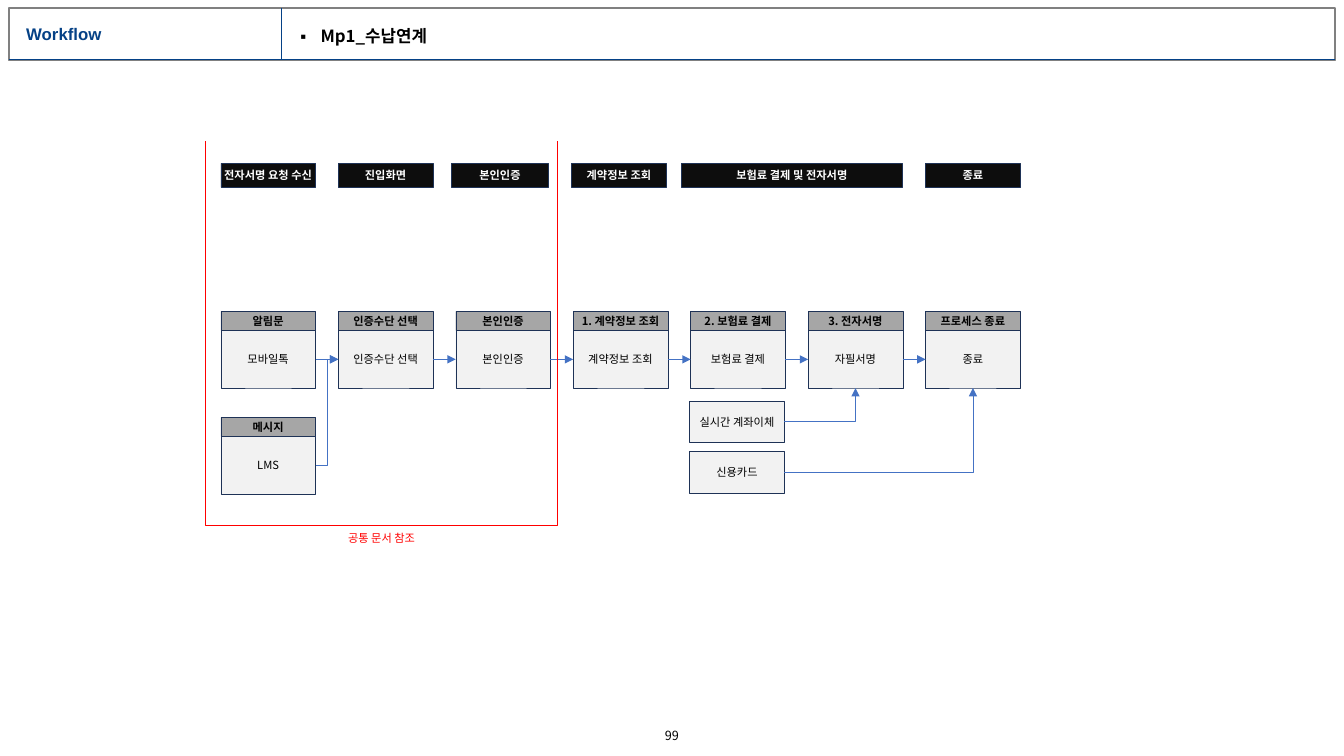
from lxml.etree import SubElement
from pptx import Presentation
from pptx.dml.color import RGBColor
from pptx.enum.shapes import MSO_CONNECTOR, MSO_SHAPE
from pptx.enum.text import MSO_ANCHOR, MSO_AUTO_SIZE, PP_ALIGN
from pptx.oxml.ns import qn
from pptx.util import Inches, Pt

HEX = {"navy": "054186", "gray": "808080", "black": "000000", "white": "FFFFFF",
       "dark": "0D0D0D", "head": "A6A6A6", "pale": "F2F2F2", "edge": "1E3256",
       "flow": "4472C4", "red": "FF0000"}
SANS = "Noto Sans CJK KR"
LEFT, PITCH, WIDE = 2.19, 1.165, 0.94
TOP, STEP, HEAD, BODY = 3.09, 1.05, 0.19, 0.57
STAGE, TALL = 1.62, 0.24
SMALL = {"size": Pt(8), "name": SANS, "bold": False}
BOLD = {**SMALL, "bold": True}
FRAME = {"word_wrap": False, "vertical_anchor": MSO_ANCHOR.MIDDLE}
FLUSH = {"margin_left": 0, "margin_right": 0, "margin_top": 0, "margin_bottom": 0}
SITE = {"top": 0, "left": 1, "bottom": 2, "right": 3}

STEPS = [("알림문", "모바일톡"), ("인증수단 선택", "인증수단 선택"),
         ("본인인증", "본인인증"), ("1. 계약정보 조회", "계약정보 조회"),
         ("2. 보험료 결제", "보험료 결제"), ("3. 전자서명", "자필서명"),
         ("프로세스 종료", "종료")]


def col(i):
    return LEFT + i * PITCH


STAGES = [("전자서명 요청 수신", col(0), WIDE), ("진입화면", col(1), WIDE),
          ("본인인증", 4.48, 0.96), ("계약정보 조회", 5.67, WIDE),
          ("보험료 결제 및 전자서명", 6.76, 2.19), ("종료", col(6), WIDE)]


def apply(item, values):
    for key, value in values.items():
        setattr(item, key, value)


def rgb(name):
    return RGBColor.from_string(HEX[name])


def write(shape, text, font, color, align=PP_ALIGN.CENTER, **frame):
    """Put one formatted paragraph in a shape and return the paragraph."""
    apply(shape.text_frame, {**FRAME, **frame})
    para = shape.text_frame.paragraphs[0]
    para.alignment = align
    run = para.add_run()
    run.text = text
    apply(run.font, font)
    run.font.color.rgb = rgb(color)
    SubElement(run.font._element, qn("a:ea"), typeface=font["name"])
    return para


def place(shape, *box):
    apply(shape, dict(zip(("left", "top", "width", "height"), map(Inches, box))))


def box(slide, area, fill, line, width, kind=MSO_SHAPE.RECTANGLE):
    shape = slide.shapes.add_shape(kind, *map(Inches, area))
    shape.shadow.inherit = False
    if fill:
        shape.fill.solid()
        shape.fill.fore_color.rgb = rgb(fill)
    else:
        shape.fill.background()
    shape.line.color.rgb = rgb(line)
    shape.line.width = Pt(width)
    return shape


def label(slide, area, text, fill, font=SMALL, color="black"):
    shape = box(slide, area, fill, "edge", 0.25)
    write(shape, text, font, color)
    return shape


def card(slide, i, row, head, text):
    """Draw a headed step on the grid and return its lower part."""
    y = TOP + row * STEP
    label(slide, (col(i), y, WIDE, HEAD), head, "head", BOLD)
    return label(slide, (col(i), y + HEAD, WIDE, BODY), text, "pale")


def rule(slide, ends, color, width, kind=MSO_CONNECTOR.STRAIGHT):
    line = slide.shapes.add_connector(kind, *map(Inches, ends))
    line.line.color.rgb = rgb(color)
    line.line.width = Pt(width)
    SubElement(line._element.spPr, qn("a:effectLst"))
    return line


def arrow(slide, start, end, side="left", bend=None):
    kind = MSO_CONNECTOR.ELBOW if bend else MSO_CONNECTOR.STRAIGHT
    line = rule(slide, (0, 0, 0, 0), "flow", 0.5, kind)
    line.begin_connect(start, SITE["right"])
    line.end_connect(end, SITE[side])
    if bend:
        line._element.spPr.find(qn("a:prstGeom")).set("prst", bend)
    SubElement(line.line._get_or_add_ln(), qn("a:tailEnd"), type="triangle")


def note(slide, area, text, font, color):
    shape = slide.shapes.add_textbox(*map(Inches, area))
    write(shape, text, font, color, **FLUSH)


def banner(slide):
    box(slide, (0.09, 0.08, 13.15, 0.52), None, "gray", 1)
    rule(slide, (0.09, 0.59, 13.24, 0.59), "navy", 1)
    rule(slide, (2.79, 0.08, 2.79, 0.59), "navy", 1)
    title, body = slide.shapes.title, slide.placeholders[1]
    place(title, 0.16, 0.21, 2.53, 0.28)
    place(body, 2.88, 0.24, 7.65, 0.26)
    frame = {"word_wrap": True, "auto_size": MSO_AUTO_SIZE.NONE}
    font = {"size": Pt(12), "name": "Arial", "bold": True}
    para = write(title, "Workflow", font, "navy", PP_ALIGN.LEFT, **frame)
    para.line_spacing = 0.9
    para = write(body, "Mp1_수납연계", {**font, "name": SANS}, "black",
                 PP_ALIGN.LEFT, **frame)
    apply(para, {"line_spacing": 0.9, "space_before": Pt(10)})
    props = para._p.get_or_add_pPr()
    props.set("marL", str(Inches(0.2)))
    props.set("indent", str(-Inches(0.2)))
    SubElement(props, qn("a:buChar"), char="▪")


def flow(slide):
    for text, x, wide in STAGES:
        label(slide, (x, STAGE, wide, TALL), text, "dark", BOLD, "white")
    cards = [card(slide, i, 0, *step) for i, step in enumerate(STEPS)]
    for start, end in zip(cards, cards[1:]):
        arrow(slide, start, end)
    message = card(slide, 0, 1, "메시지", "LMS")
    arrow(slide, message, cards[1], bend="bentConnector3")
    for i, (text, end) in enumerate((("실시간 계좌이체", 5), ("신용카드", 6))):
        means = label(slide, (6.84, 3.98 + i * 0.5, WIDE, 0.41), text, "pale")
        arrow(slide, means, cards[end], "bottom", "bentConnector2")


def shared(slide):
    """Bracket the steps that a common document covers."""
    shape = box(slide, (1.88, 1.56, 3.81, 3.49), None, "red", 0.5,
                MSO_SHAPE.RIGHT_BRACKET)
    shape.rotation = 90
    shape.adjustments[0] = 0
    note(slide, (3.44, 5.27, 0.69, 0.13), "공통 문서 참조", SMALL, "red")


def main():
    deck = Presentation()
    deck.slide_width, deck.slide_height = Inches(13.33), Inches(7.5)
    slide = deck.slides.add_slide(deck.slide_layouts[1])
    banner(slide)
    flow(slide)
    shared(slide)
    note(slide, (6.5, 7.22, 0.33, 0.15), "99", {**SMALL, "size": Pt(9)}, "black")
    deck.save("out.pptx")


if __name__ == "__main__":
    main()
